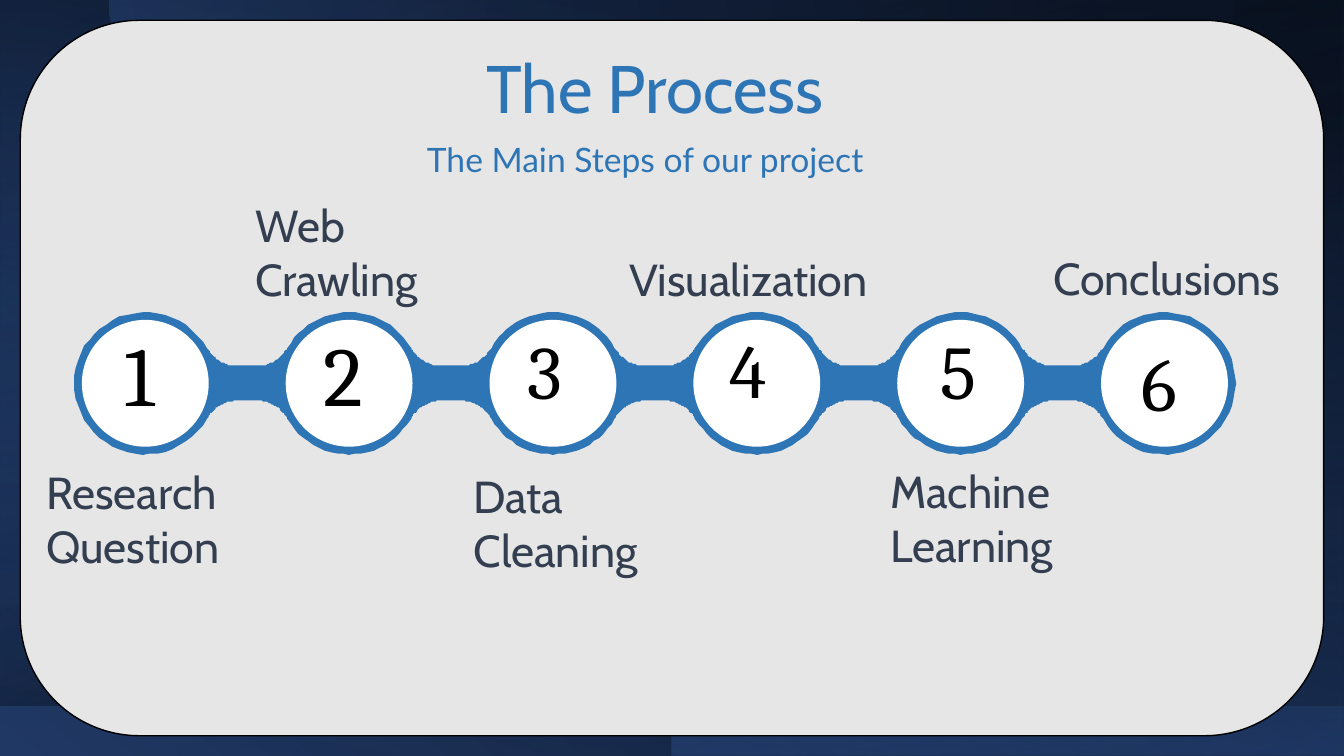
from math import atan2, cos, degrees, radians, sin

from lxml.etree import SubElement
from pptx import Presentation
from pptx.dml.color import RGBColor
from pptx.enum.shapes import MSO_SHAPE as Shape
from pptx.enum.text import MSO_ANCHOR as Anchor, MSO_AUTO_SIZE as AutoSize, PP_ALIGN as Align
from pptx.oxml.ns import qn
from pptx.util import Pt

WIDTH, HEIGHT = 960, 540


def color(hex_string):
    return RGBColor.from_string(hex_string)


def arc(center_x, center_y, radius, start, end, steps=24):
    """Points along an arc; angles in degrees, y grows downwards."""
    angles = [radians(start + (end - start) * i / steps) for i in range(steps + 1)]
    return [(center_x + radius * cos(a), center_y + radius * sin(a)) for a in angles]


def chain_outline(centers, middle, radius, neck, reach, fillet):
    """Circles joined by necks of half height neck, with rounded fillets."""
    rise = neck + fillet
    tangent = degrees(atan2(rise, reach))
    upper = []
    for i, x in enumerate(centers):
        if i > 0:
            upper += arc(x - reach, middle - rise, fillet, 90, tangent)
        first = 180 if i == 0 else 180 + tangent
        last = 360 if i == len(centers) - 1 else 360 - tangent
        upper += arc(x, middle, radius, first, last)
        if i < len(centers) - 1:
            upper += arc(x + reach, middle - rise, fillet, 180 - tangent, 90)
    lower = [(x, 2 * middle - y) for x, y in reversed(upper)]
    return upper + lower


class Slide:
    BLUE, SLATE, BLACK, WHITE, PANEL = "2E75B6", "333F50", "000000", "FFFFFF", "E7E6E6"
    HEADING, SUBHEADING, NUMERAL = "Cabin", "Lato", "Cambria"

    def __init__(self, page):
        self.page = page

    def finish(self, shape, fill=None, line=None):
        shape.shadow.inherit = False
        if fill:
            shape.fill.solid()
            shape.fill.fore_color.rgb = color(fill)
        if line:
            shape.line.color.rgb = color(line)
            shape.line.width = Pt(1)
        else:
            shape.line.fill.background()
        return shape

    def preset(self, kind, left, top, width, height, fill=None, line=None):
        shape = self.page.shapes.add_shape(kind, Pt(left), Pt(top), Pt(width), Pt(height))
        return self.finish(shape, fill, line)

    def outline(self, points, fill=None):
        builder = self.page.shapes.build_freeform(*points[0], scale=Pt(1))
        builder.add_line_segments(points[1:], close=True)
        return self.finish(builder.convert_to_shape(), fill)

    def gradient(self, shape, angle, stops, flip=False, rotation=0):
        """Stops are (percent, colour, opacity percent); the angle runs clockwise."""
        shape.fill.gradient()
        shape.fill.gradient_angle = (360 - angle) % 360
        for stop, (position, shade, _) in zip(shape.fill.gradient_stops, stops):
            stop.position = position / 100
            stop.color.rgb = color(shade)
        for node, (_, _, opacity) in zip(shape.element.spPr.iter(qn("a:srgbClr")), stops):
            if opacity < 100:
                SubElement(node, qn("a:alpha")).set("val", str(opacity * 1000))
        shape.rotation = rotation
        if flip:
            shape.element.spPr.find(qn("a:xfrm")).set("flipH", "1")

    def fill_text(self, box, lines, size, font, shade, align=Align.LEFT):
        frame = box.text_frame
        frame.word_wrap = True
        frame.auto_size = AutoSize.SHAPE_TO_FIT_TEXT
        frame.vertical_anchor = Anchor.TOP
        for i, line in enumerate(lines):
            para = frame.add_paragraph() if i else frame.paragraphs[0]
            para.alignment = align
            para.space_before = Pt(0)
            span = para.add_run()
            span.text = line
            span.font.size = Pt(size)
            span.font.name = font
            span.font.color.rgb = color(shade)

    def text(self, left, top, width, height, lines, size, font, shade):
        box = self.page.shapes.add_textbox(Pt(left), Pt(top), Pt(width), Pt(height))
        self.fill_text(box, lines, size, font, shade)

    def placeholder(self, index, left, top, width, height, line, size, font):
        box = self.page.placeholders[index]
        box.left, box.top, box.width, box.height = Pt(left), Pt(top), Pt(width), Pt(height)
        box.element.getparent().append(box.element)  # bring in front of the panel
        self.fill_text(box, [line], size, font, self.BLUE, Align.CENTER)


def main():
    deck = Presentation()
    deck.slide_width, deck.slide_height = Pt(WIDTH), Pt(HEIGHT)
    slide = Slide(deck.slides.add_slide(deck.slide_layouts[0]))

    # Layered gradient background: place, angle, stops, flip, rotation
    layers = [
        ((0, 0, WIDTH, HEIGHT), 230, [(0, "203864", 100), (100, "000000", 100)], True, 0),
        ((0, 0, WIDTH, 504), 250, [(1, "2F5597", 59), (100, "000000", 100)], False, 180),
        ((210, -210, HEIGHT, WIDTH), 0, [(13, "203864", 0), (99, "000000", 28)], True, 90),
        ((480, 0, 480, HEIGHT), 100, [(13, "203864", 0), (99, "2F5597", 50)], True, 0),
        ((0, 0, WIDTH, HEIGHT), 80, [(13, "000000", 35), (99, "2F5597", 0)], True, 0),
    ]
    for place, angle, stops, flip, rotation in layers:
        slide.gradient(slide.preset(Shape.RECTANGLE, *place), angle, stops, flip, rotation)
    glow = slide.outline([(78, 0), (882, 0)] + arc(480, -32, 404, 6, 174))
    slide.gradient(glow, 170, [(7, "203864", 4), (99, "4472C4", 24)])

    # Panel and headings
    slide.preset(Shape.ROUNDED_RECTANGLE, 14.5, 14.5, 931, 511, slide.PANEL, slide.BLACK)
    slide.placeholder(0, 49, 29.5, 837.4, 65.4, "The Process", 48, slide.HEADING)
    slide.placeholder(1, 94.3, 95.8, 733, 36.4, "The Main Steps of our project", 24,
                      slide.SUBHEADING)

    # Chain of six circles
    middle, disc = 273.8, 45.3
    centers = [103.8 + 145.6 * i for i in range(6)]
    slide.outline(chain_outline(centers, middle, 50.8, 12.4, 66.2, 25.4), slide.BLUE)
    for x in centers:
        slide.preset(Shape.OVAL, x - disc, middle - disc, 2 * disc, 2 * disc, slide.WHITE)

    # Steps: numeral size, left and top; label lines, left, top and width
    steps = [
        (60, 82, 226.8, ["Research Question"], 25.9, 328.3, 163.4),
        (60, 224, 226.8, ["Web Crawling"], 175.3, 138, 185.8),
        (54, 370, 227.5, ["Data", "Cleaning"], 331.2, 331.2, 271.4),
        (54, 514, 226.8, ["Visualization"], 442.3, 176.4, 271.4),
        (54, 664.6, 228.2, ["Machine", "Learning"], 628.8, 327.6, 271.4),
        (54, 808.6, 236.2, ["Conclusions"], 745.2, 175.3, 210),
    ]
    for number, (size, x, y, label, left, top, width) in enumerate(steps, 1):
        slide.text(x, y, 45.4, size * 1.2 + 7.2, [str(number)], size, slide.NUMERAL, slide.BLACK)
        height = 46 if number in (4, 6) else 85
        slide.text(left, top, width, height, label, 32, slide.HEADING, slide.SLATE)

    deck.save("out.pptx")


if __name__ == "__main__":
    main()
